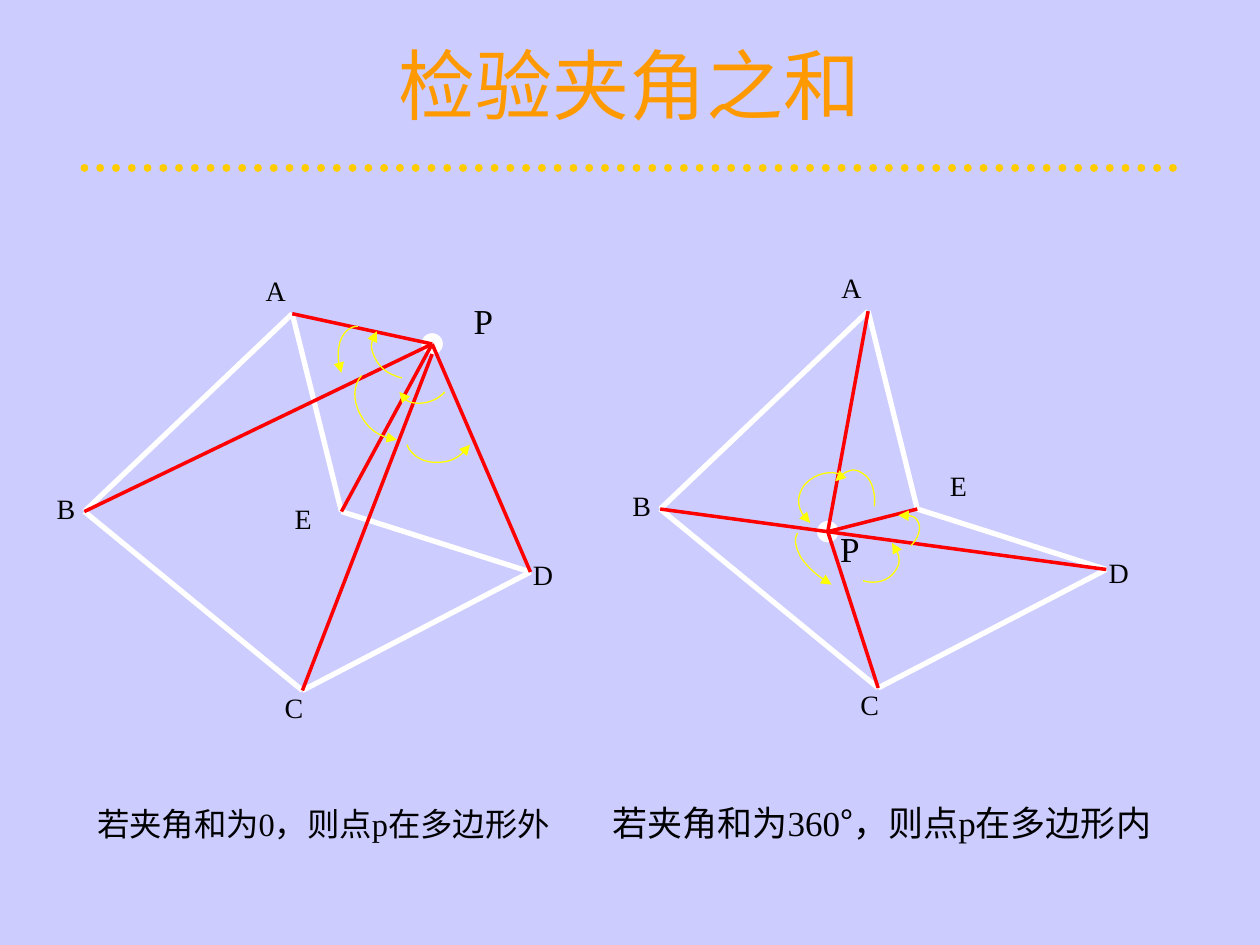
from dataclasses import dataclass
from lxml.etree import SubElement
from pptx import Presentation
from pptx.dml.color import RGBColor
from pptx.enum.dml import MSO_LINE_DASH_STYLE as Dash
from pptx.enum.shapes import MSO_CONNECTOR as Connector, MSO_SHAPE as Preset
from pptx.enum.text import MSO_ANCHOR as Anchor, MSO_AUTO_SIZE as AutoSize, PP_ALIGN as Align
from pptx.oxml.ns import qn
from pptx.util import Inches, Pt

Point = tuple[float, float]


@dataclass(frozen=True)
class Theme:
    background: RGBColor = RGBColor(0xCC, 0xCC, 0xFF)
    title: RGBColor = RGBColor(0xFF, 0x99, 0x00)
    rule: RGBColor = RGBColor(0xFF, 0xCC, 0x00)
    text: RGBColor = RGBColor(0, 0, 0)
    polygon: RGBColor = RGBColor(0xFF, 0xFF, 0xFF)
    spoke: RGBColor = RGBColor(0xFF, 0, 0)
    arc: RGBColor = RGBColor(0xFF, 0xFF, 0)
    font: str = "Times New Roman"
    symbol_font: str = "Noto Sans CJK SC"
    title_size: float = 44
    left_caption_size: float = 18.5
    right_caption_size: float = 20
    vertex_size: float = 16
    point_size: float = 20
    rule_width: float = 4.5
    polygon_width: float = 3
    spoke_width: float = 2
    thin_width: float = 0.75


@dataclass(frozen=True)
class Arc:
    points: tuple[Point, ...]
    arrow_end: str = "tailEnd"


@dataclass(frozen=True)
class Figure:
    shift: Point
    test_point: Point
    point_label: Point
    arcs: tuple[Arc, ...]
    moved_labels: dict[str, Point]
    moved_starts: dict[str, Point]


THEME = Theme()
VERTICES = {"A": (2.32, 2.49), "B": (0.67, 4.06), "C": (2.4, 5.48),
            "D": (4.21, 4.54), "E": (2.71, 4.06)}
LABELS = {"A": (2.01, 2.12), "B": (0.35, 3.85), "C": (2.16, 5.43),
          "D": (4.13, 4.38), "E": (2.24, 3.93)}

OUTSIDE = Figure(
    shift=(0, 0), test_point=(3.43, 2.73), point_label=(3.66, 2.33),
    arcs=(
        Arc(((2.84, 2.59), (2.78, 2.59), (2.73, 2.63), (2.7, 2.71),
             (2.68, 2.79), (2.68, 2.88), (2.71, 2.96))),
        Arc(((2.87, 2.98), (2.8, 3.06), (2.8, 3.18), (2.86, 3.29),
             (2.92, 3.4), (3.03, 3.48), (3.15, 3.49))),
        Arc(((3.23, 3.53), (3.26, 3.61), (3.35, 3.67), (3.46, 3.67),
             (3.57, 3.67), (3.67, 3.62), (3.73, 3.53))),
        Arc(((3.17, 3.11), (3.19, 3.17), (3.26, 3.2), (3.33, 3.2),
             (3.41, 3.2), (3.49, 3.16), (3.53, 3.11)), "headEnd"),
        Arc(((2.99, 2.63), (2.94, 2.69), (2.94, 2.77), (2.98, 2.85),
             (3.02, 2.93), (3.1, 2.98), (3.19, 3)), "headEnd"),
    ),
    moved_labels={}, moved_starts={"C": (3.43, 2.81)},
)
INSIDE = Figure(
    shift=(4.57, -0.02), test_point=(6.57, 4.22), point_label=(6.57, 4.14),
    arcs=(
        Arc(((6.66, 3.76), (6.55, 3.73), (6.43, 3.78), (6.37, 3.87),
             (6.32, 3.96), (6.34, 4.08), (6.43, 4.15))),
        Arc(((6.33, 4.23), (6.3, 4.27), (6.31, 4.34), (6.36, 4.43),
             (6.42, 4.51), (6.51, 4.59), (6.6, 4.64))),
        Arc(((6.85, 4.61), (6.95, 4.64), (7.05, 4.61), (7.1, 4.54),
             (7.15, 4.47), (7.14, 4.38), (7.08, 4.31))),
        Arc(((7.23, 4.33), (7.29, 4.27), (7.31, 4.2), (7.29, 4.15),
             (7.27, 4.1), (7.2, 4.08), (7.13, 4.09))),
        Arc(((6.94, 4.02), (6.95, 3.91), (6.92, 3.8), (6.85, 3.76),
             (6.78, 3.71), (6.69, 3.74), (6.63, 3.82))),
    ),
    moved_labels={"E": (7.44, 3.67)}, moved_starts={},
)


def shifted(point: Point, shift: Point) -> Point:
    return point[0] + shift[0], point[1] + shift[1]


def style_font(font, size: float, color: RGBColor, name: str = THEME.font) -> None:
    font.name, font.size, font.bold = name, Pt(size), False
    font.color.rgb = color


def place(box, left: float, top: float, width: float, height: float) -> None:
    box.left, box.top = Inches(left), Inches(top)
    box.width, box.height = Inches(width), Inches(height)


def draw_line(shapes, start: Point, end: Point, color: RGBColor, width: float):
    line = shapes.add_connector(Connector.STRAIGHT, *map(Inches, start + end))
    line.line.color.rgb = color
    line.line.width = Pt(width)
    SubElement(line._element.spPr, qn("a:effectLst"))
    return line


def draw_label(shapes, text: str, corner: Point, size: float, height: float) -> None:
    box = shapes.add_textbox(*map(Inches, corner + (0.71, height)))
    frame = box.text_frame
    frame.word_wrap = True
    frame.auto_size = AutoSize.SHAPE_TO_FIT_TEXT
    frame.text = text
    style_font(frame.paragraphs[0].runs[0].font, size, THEME.text)


def draw_arc(shapes, arc: Arc) -> None:
    points = [(Inches(x), Inches(y)) for x, y in arc.points]
    builder = shapes.build_freeform(*points[0])
    builder.add_line_segments(points[1:], close=False)
    curve = builder.convert_to_shape()
    curve.shadow.inherit = False
    curve.fill.background()
    curve.line.color.rgb = THEME.arc
    curve.line.width = Pt(THEME.thin_width)
    SubElement(curve.line._get_or_add_ln(), qn("a:" + arc.arrow_end), type="triangle")
    outline = next(curve._element.iter(qn("a:path")))
    segments = outline.findall(qn("a:lnTo"))
    for first in range(0, len(segments), 3):
        bezier = SubElement(outline, qn("a:cubicBezTo"))
        for segment in segments[first:first + 3]:
            bezier.append(segment[0])
            outline.remove(segment)


def draw_figure(page, figure: Figure) -> None:
    shapes = page.shapes.add_group_shape().shapes
    corners = {name: shifted(point, figure.shift) for name, point in VERTICES.items()}
    ring = list(corners.values())
    for start, end in zip(ring, ring[1:] + ring[:1]):
        draw_line(shapes, start, end, THEME.polygon, THEME.polygon_width)
    x, y = figure.test_point
    dot = shapes.add_shape(Preset.OVAL, Inches(x - 0.08), Inches(y - 0.08),
                           Inches(0.16), Inches(0.16))
    dot.shadow.inherit = False
    dot.fill.solid()
    dot.fill.fore_color.rgb = dot.line.color.rgb = THEME.polygon
    dot.line.width = Pt(THEME.thin_width)
    for name, corner in corners.items():
        start = figure.moved_starts.get(name, figure.test_point)
        draw_line(shapes, start, corner, THEME.spoke, THEME.spoke_width)
    for arc in figure.arcs:
        draw_arc(shapes, arc)
    for name, corner in LABELS.items():
        spot = figure.moved_labels.get(name, shifted(corner, figure.shift))
        draw_label(shapes, name, spot, THEME.vertex_size, 0.37)
    draw_label(shapes, "P", figure.point_label, THEME.point_size, 0.44)


def fill_caption(box, parts: list[tuple[str, str]], size: float, spacing: float) -> None:
    frame = box.text_frame
    frame.word_wrap = True
    frame.auto_size = AutoSize.NONE
    para = frame.paragraphs[0]
    properties = para._p.get_or_add_pPr()
    properties.set("marL", str(Inches(0.38)))
    properties.set("indent", str(-Inches(0.38)))
    SubElement(properties, qn("a:buNone"))
    para.space_before = Pt(0)
    para.line_spacing = spacing
    for text, font_name in parts:
        span = para.add_run()
        span.text = text
        style_font(span.font, size, THEME.text, font_name)


def main() -> None:
    deck = Presentation()
    deck.slide_width, deck.slide_height = Inches(10), Inches(7.5)
    page = deck.slides.add_slide(deck.slide_layouts[1])
    page.background.fill.solid()
    page.background.fill.fore_color.rgb = THEME.background

    title, body = page.placeholders
    place(title, 0.75, 0.25, 8.5, 0.83)
    title.text_frame.text = "检验夹角之和"
    title.text_frame.vertical_anchor = Anchor.MIDDLE
    title.text_frame.auto_size = AutoSize.NONE
    heading = title.text_frame.paragraphs[0]
    heading.alignment = Align.CENTER
    style_font(heading.runs[0].font, THEME.title_size, THEME.title)

    rule = draw_line(page.shapes, (0.67, 1.33), (9.33, 1.33), THEME.rule, THEME.rule_width)
    rule.line.dash_style = Dash.ROUND_DOT
    rule.line._get_or_add_ln().set("cap", "rnd")

    place(body, 0.67, 6.33, 4.29, 0.56)
    fill_caption(body, [("若夹角和为0，则点p在多边形外", THEME.font)],
                 THEME.left_caption_size, 1.0)
    caption = page.shapes.add_textbox(*map(Inches, (4.76, 6.35, 4.88, 0.56)))
    fill_caption(caption, [("若夹角和为360", THEME.font), ("°", THEME.symbol_font),
                           ("，则点p在多边形内", THEME.font)],
                 THEME.right_caption_size, 0.9)

    for figure in (OUTSIDE, INSIDE):
        draw_figure(page, figure)
    deck.save("out.pptx")


if __name__ == "__main__":
    main()
